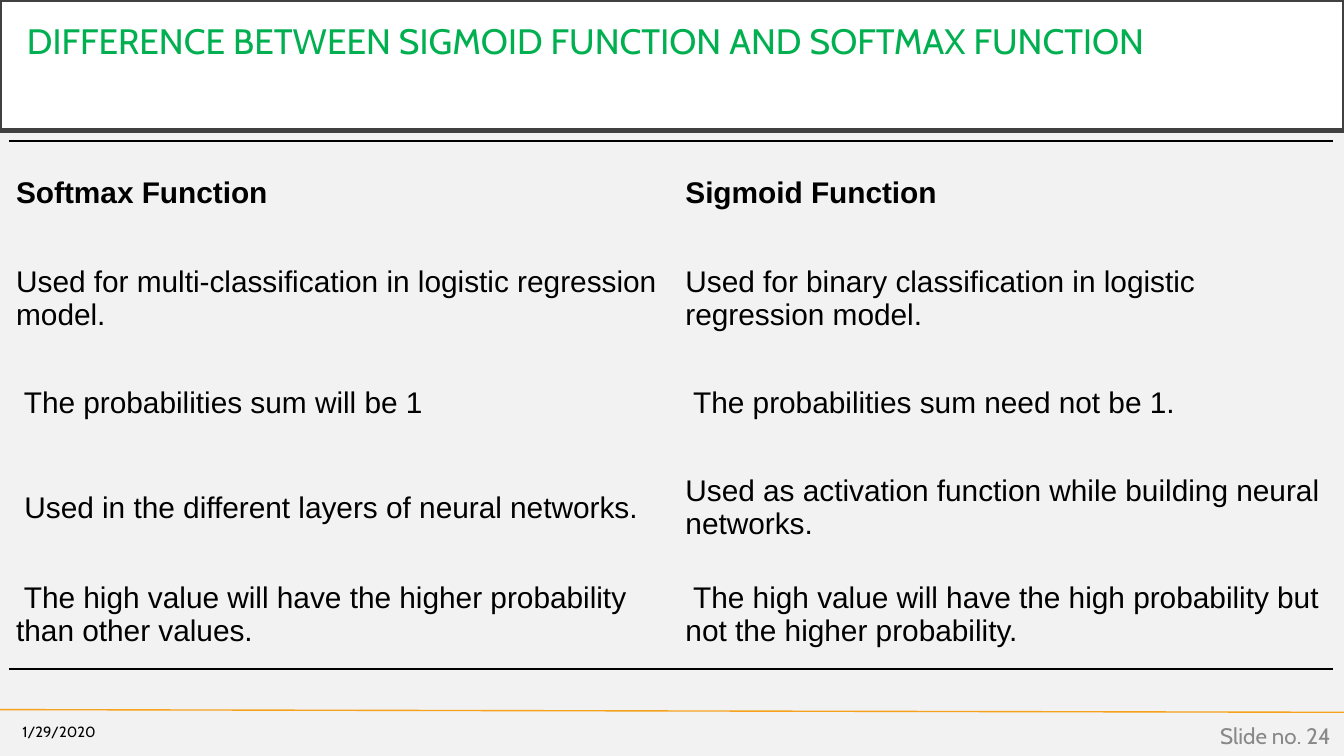
from lxml import etree
from pptx import Presentation
from pptx.dml.color import RGBColor
from pptx.enum import shapes, text
from pptx.oxml import ns
from pptx.util import Inches, Pt

COLORS = {"back": "F2F2F2", "white": "FFFFFF", "frame": "404040", "rule": "F6A21D",
          "title": "00B050", "black": "000000", "gray": "888888"}
PLAIN = "{2D5ABB26-0587-4C30-8999-92F81FD0307C}"


def rgb(name):
    return RGBColor.from_string(COLORS[name])


def style(par, face, size, color, bold=False):
    for run in par.runs:
        run.font.name, run.font.size, run.font.bold = face, Pt(size), bold
        run.font.color.rgb = rgb(color)


# Widescreen 16:9 slide
deck = Presentation()
deck.slide_width = Inches(10)
deck.slide_height = Inches(10 * 9 / 16)
slide = deck.slides.add_slide(deck.slide_layouts[5])
slide.background.fill.solid()
slide.background.fill.fore_color.rgb = rgb("back")

# Footer rule
rule = slide.shapes.add_connector(shapes.MSO_CONNECTOR.STRAIGHT,
                                  Inches(0), Inches(5.28), Inches(10), Inches(5.3))
rule.line.color.rgb = rgb("rule")
rule.line.width = Pt(0.75)
etree.SubElement(rule._element.spPr, ns.qn("a:effectLst"))

# Title band
title = slide.shapes.title
title.left, title.top, title.width, title.height = Inches(0), Inches(0), Inches(10), Inches(0.97)
title.fill.solid()
title.fill.fore_color.rgb = rgb("white")
title.line.color.rgb = rgb("frame")
title.line.width = Pt(2.5)
frame = title.text_frame
frame.text = "DIFFERENCE BETWEEN SIGMOID FUNCTION AND SOFTMAX FUNCTION"
frame.word_wrap = True
frame.auto_size = text.MSO_AUTO_SIZE.NONE
frame.vertical_anchor = text.MSO_ANCHOR.TOP
frame.margin_left = frame.margin_right = frame.margin_bottom = Inches(0.2)
frame.margin_top = Inches(0.18)
head = frame.paragraphs[0]
head.alignment = text.PP_ALIGN.LEFT
head.line_spacing = 0.9
style(head, "Cabin", 18.9, "title")

# Comparison table
rows = [
    ("Softmax Function", "Sigmoid Function"),
    ("Used for multi-classification in logistic regression model.",
     "Used for binary classification in logistic regression model."),
    (" The probabilities sum will be 1", " The probabilities sum need not be 1."),
    (" Used in the different layers of neural networks.",
     "Used as activation function while building neural networks."),
    (" The high value will have the higher probability than other values.",
     " The high value will have the high probability but not the higher probability."),
]
last = len(rows) - 1
holder = slide.shapes.add_table(len(rows), 2, Inches(0.07), Inches(1.05),
                                Inches(9.85), Inches(3.93))
table = holder.table
table.first_row = table.horz_banding = False
holder._element.find(".//" + ns.qn("a:tableStyleId")).text = PLAIN
for col, width in zip(table.columns, (4.98, 4.87)):
    col.width = Inches(width)
for i, row in enumerate(rows):
    table.rows[i].height = Inches(0.81 if i == last else 0.78)
    for j, words in enumerate(row):
        cell = table.cell(i, j)
        cell.text = words
        cell.vertical_anchor = text.MSO_ANCHOR.MIDDLE
        cell.margin_left = cell.margin_right = Inches(0.05)
        cell.margin_top = cell.margin_bottom = Inches(0.05)
        style(cell.text_frame.paragraphs[0], "Arial", 16, "black", i == 0)
        # Rules above the first row and below the last
        if i in (0, last):
            props = cell._tc.get_or_add_tcPr()
            edge = etree.SubElement(props, ns.qn("a:lnT" if i == 0 else "a:lnB"), w=str(Pt(1)))
            fill = etree.SubElement(edge, ns.qn("a:solidFill"))
            etree.SubElement(fill, ns.qn("a:srgbClr"), val=COLORS["black"])
        cell.fill.background()

# Date and slide number
for words, left, top, width, height, size, color in (
        ("1/29/2020", 0, 5.31, 0.81, 0.27, 7.9, "black"),
        ("Slide no. 24", 7.75, 5.32, 2.25, 0.3, 12, "gray")):
    box = slide.shapes.add_textbox(Inches(left), Inches(top), Inches(width), Inches(height))
    frame = box.text_frame
    frame.text = words
    frame.word_wrap = True
    frame.vertical_anchor = text.MSO_ANCHOR.MIDDLE
    frame.paragraphs[0].alignment = text.PP_ALIGN.RIGHT
    style(frame.paragraphs[0], "Cabin", size, color)

deck.save("out.pptx")
